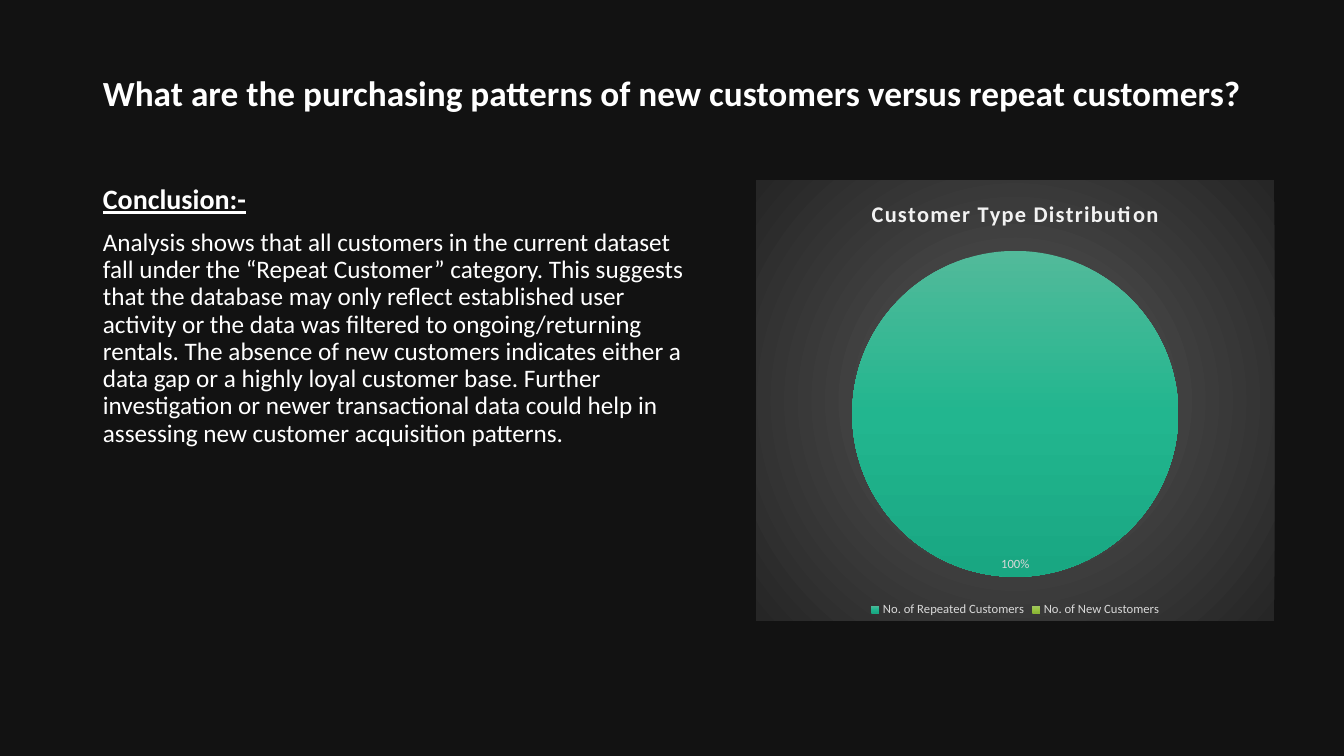
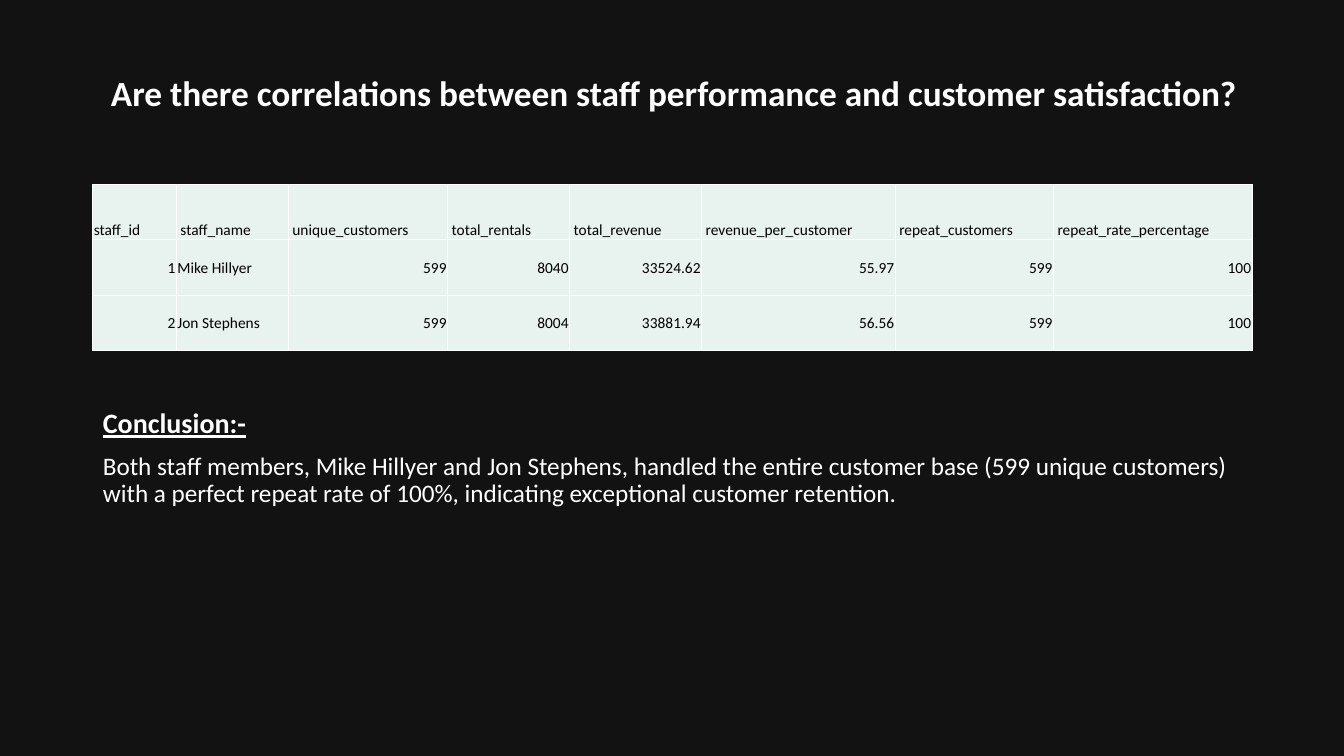
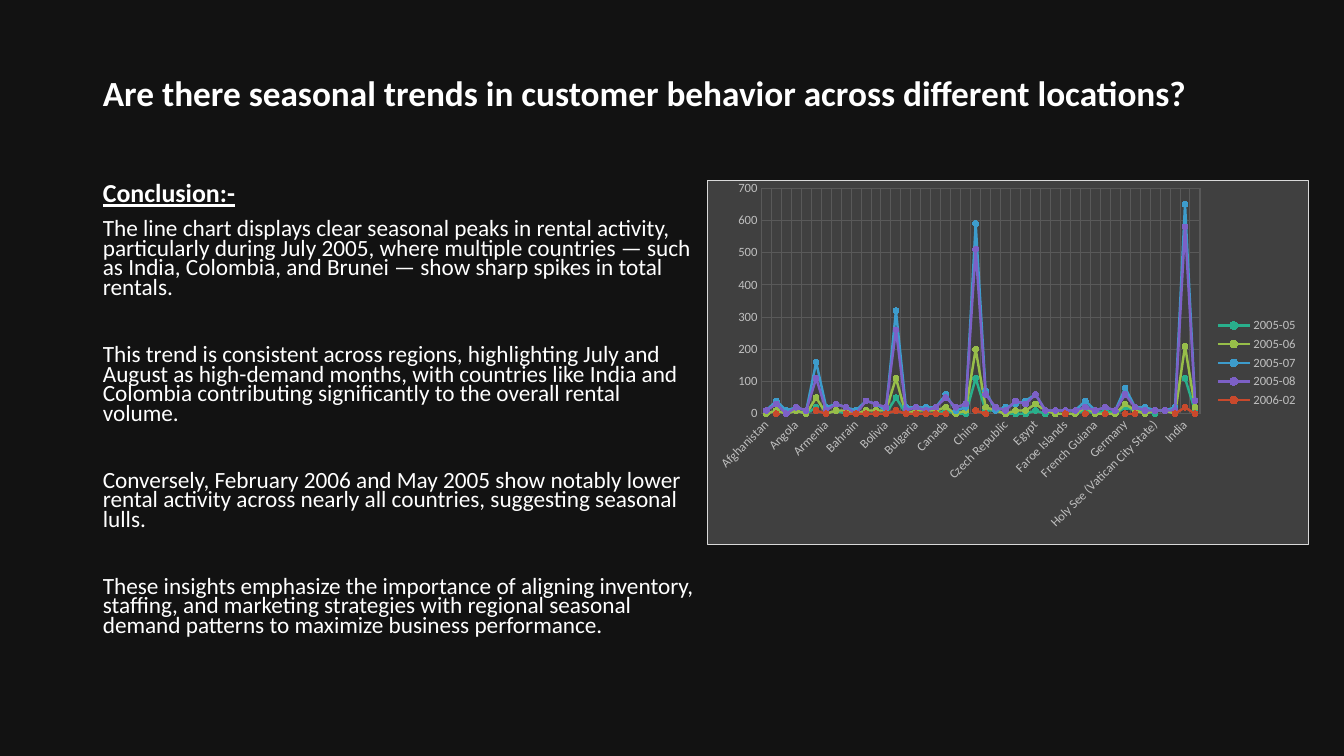
from dataclasses import dataclass

from pptx import Presentation
from pptx.chart.chart import Chart
from pptx.chart.data import CategoryChartData
from pptx.dml.color import RGBColor
from pptx.enum import chart as ch, text as tx
from pptx.oxml import parse_xml
from pptx.oxml.ns import nsdecls
from pptx.util import Inches, Pt


@dataclass(frozen=True)
class Theme:
    font: str = "Calibri"
    background: str = "121212"
    text: str = "FFFFFF"
    cell_fill: str = "E8F2EE"
    cell_text: str = "000000"
    chart_fill: str = "404040"
    chart_border: str = "D9D9D9"
    chart_title: str = "F2F2F2"
    pie_label: str = "D9D9D9"
    axis_label: str = "BFBFBF"
    grid: str = "595959"
    title_size: float = 25.2
    heading_size: float = 20
    body_size: float = 18
    small_heading_size: float = 18.5
    small_body_size: float = 16.6
    cell_size: float = 11
    chart_title_size: float = 16
    chart_size: float = 10
    label_size: float = 9


@dataclass(frozen=True)
class Box:
    left: float
    top: float
    width: float
    height: float

    def emu(self) -> tuple:
        return tuple(Inches(v) for v in (self.left, self.top, self.width, self.height))


@dataclass(frozen=True)
class MonthLine:
    name: str
    color: str
    marker: str
    values: list


T = Theme()
LEFT, FULL_WIDTH, CONTENT_TOP = 0.92, 11.5, 1.79
TITLE_BOX = Box(LEFT, 0.56, FULL_WIDTH, 0.76)
HALF_WIDTH = 6.09
INSET = 0.1

PIE_POINTS = [
    [(0, "52BA9A"), (50, "22B68F"), (100, "19A782")],
    [(0, "A2C664"), (50, "99C443"), (100, "8AB535")],
]
PIE_BACKGROUND = [(0, "595959"), (100, "262626")]

STAFF_COLUMNS = [
    ("staff_id", 0.83), ("staff_name", 1.11), ("unique_customers", 1.58),
    ("total_rentals", 1.21), ("total_revenue", 1.31), ("revenue_per_customer", 1.92),
    ("repeat_customers", 1.57), ("repeat_rate_percentage", 1.97),
]
STAFF_ROWS = [
    ["1", "Mike Hillyer", "599", "8040", "33524.62", "55.97", "599", "100"],
    ["2", "Jon Stephens", "599", "8004", "33881.94", "56.56", "599", "100"],
]
NAME_COLUMN = 1
ROW_HEIGHT = 0.55

COUNTRIES = [
    "Afghanistan", "Algeria", "American Samoa", "Angola", "Anguilla", "Argentina", "Armenia",
    "Austria", "Azerbaijan", "Bahrain", "Bangladesh", "Belarus", "Bolivia", "Brazil", "Brunei",
    "Bulgaria", "Cambodia", "Cameroon", "Canada", "Chad", "Chile", "China", "Colombia",
    "Congo, The Democratic Republic of the", "Czech Republic", "Dominican Republic", "Ecuador",
    "Egypt", "Estonia", "Ethiopia", "Faroe Islands", "Finland", "France", "French Guiana",
    "French Polynesia", "Gambia", "Germany", "Greece", "Greenland",
    "Holy See (Vatican City State)", "Hong Kong", "Hungary", "India", "Indonesia",
]
NA = None
MONTHS = [
    MonthLine("2005-05", "29AF8C", "70DEC1", [
        NA, 10, NA, 10, 0, 20, NA, 10, 0, 0, 0, 0, 0, 50, 0, 0, 0, 0, 10, 0, 0, 110,
        10, 10, 0, 0, 0, 10, 0, NA, 0, 0, 10, 0, 10, 0, 20, 10, 10, 0, NA, NA, 110, 10]),
    MonthLine("2005-06", "97BE49", "C1D892", [
        0, 10, 0, 10, 0, 50, 0, 10, 10, 0, 10, 10, 10, 110, 0, 10, 10, 10, 20, 0, 10, 200,
        20, 10, 0, 10, 10, 30, 10, 0, 0, 0, 20, 0, 0, 0, 30, 10, 0, 10, 10, 0, 210, 20]),
    MonthLine("2005-07", "3D9CCC", "8BC4E0", [
        10, 40, 10, 20, 10, 160, 20, 30, 20, 10, 40, 30, 10, 320, 20, 20, 20, 20, 60, 10, 20, 590,
        70, 10, 20, 30, 40, 60, 10, 10, 10, 10, 40, 10, 20, 10, 80, 20, 20, 10, 10, 20, 650, 40]),
    MonthLine("2005-08", "7C60C6", "B0A0DD", [
        10, 30, 0, 20, 10, 110, 10, 30, 20, 0, 40, 30, 20, 260, 10, 20, 10, 20, 50, 20, 30, 510,
        60, 20, 10, 40, 30, 60, 10, 10, 10, 10, 20, 10, 20, 10, 60, 20, 10, 10, 10, 10, 580, 40]),
    MonthLine("2006-02", "C9492C", "E28F7D", [
        NA, 0, NA, NA, NA, 10, 0, NA, 0, 0, 0, 0, 0, 10, 0, 0, 0, 0, 0, NA, NA, 10,
        0, NA, NA, NA, NA, NA, NA, NA, 0, NA, 0, NA, 0, NA, 0, 0, NA, NA, NA, 0, 20, 0]),
]


def rgb(color: str) -> RGBColor:
    return RGBColor.from_string(color)


def set_font(font, size: float, color: str, bold: bool = False) -> None:
    font.name, font.size, font.bold = T.font, Pt(size), bold
    font.color.rgb = rgb(color)


def write(p, text: str, size: float, color: str = T.text, bold: bool = False,
          underline: bool = False, align=tx.PP_ALIGN.LEFT, line: float = 1.0,
          before: float = 0):
    """Fill a paragraph with one formatted run and return the run."""
    p.alignment, p.line_spacing, p.space_before = align, line, Pt(before)
    r = p.add_run()
    r.text = text
    set_font(r.font, size, color, bold)
    r.font.underline = underline
    return r


def solid_xml(color: str) -> str:
    return f'<a:solidFill {nsdecls("a")}><a:srgbClr val="{color}"/></a:solidFill>'


def gradient_xml(stops: list, direction: str) -> str:
    gs = "".join(f'<a:gs pos="{pos * 1000}"><a:srgbClr val="{c}"/></a:gs>' for pos, c in stops)
    return f'<a:gradFill {nsdecls("a")}><a:gsLst>{gs}</a:gsLst>{direction}</a:gradFill>'


def style_chart_area(chart: Chart, fill: str, line: str) -> None:
    sp_pr = parse_xml(f'<c:spPr {nsdecls("c", "a")}>{fill}{line}</c:spPr>')
    chart.element.xpath("c:txPr")[0].addprevious(sp_pr)


def set_plot_layout(chart: Chart, x: float, y: float, w: float, h: float) -> None:
    """Fix the inner plot area, as fractions of the chart."""
    area = chart.element.xpath("c:chart/c:plotArea")[0]
    for old in area.xpath("c:layout"):
        area.remove(old)
    sizes = "".join(f'<c:{k} val="{v}"/>' for k, v in zip("xywh", (x, y, w, h)))
    area.insert(0, parse_xml(
        f'<c:layout {nsdecls("c")}><c:manualLayout><c:layoutTarget val="inner"/>'
        f'<c:xMode val="edge"/><c:yMode val="edge"/>{sizes}</c:manualLayout></c:layout>'))


def add_chart(s, kind, box: Box, data: CategoryChartData, legend, label_color: str) -> Chart:
    chart = s.shapes.add_chart(kind, *box.emu(), data).chart
    set_font(chart.font, T.chart_size, T.text)
    chart.has_title = False
    chart.has_legend = True
    chart.legend.position = legend
    chart.legend.include_in_layout = False
    set_font(chart.legend.font, T.label_size, label_color)
    return chart


def set_up_layout(prs):
    """Give the title-and-content layout the shared background and title box."""
    layout = prs.slide_layouts[1]
    fill = prs.slide_master.background.fill
    fill.solid()
    fill.fore_color.rgb = rgb(T.background)
    title, body = layout.placeholders[0], layout.placeholders[1]
    title.left, title.top, title.width, title.height = TITLE_BOX.emu()
    title.text_frame.vertical_anchor = tx.MSO_ANCHOR.MIDDLE
    for sp in (title, body):
        sp.text_frame.auto_size = tx.MSO_AUTO_SIZE.NONE
    return layout


def add_slide(prs, layout, title: str, box: Box, paragraphs: list,
              heading_size: float = T.heading_size, body_size: float = T.body_size,
              line: float = 0.9, gap: float = 10, title_indent: float = 0):
    """Add a slide with its title and a conclusion; gap parts the paragraphs."""
    s = prs.slides.add_slide(layout)
    tf = s.shapes.title.text_frame
    tf.margin_left = Inches(INSET + title_indent)
    write(tf.paragraphs[0], title, T.title_size, bold=True, line=0.9)

    body = s.placeholders[1]
    body.left, body.top, body.width, body.height = box.emu()
    tf = body.text_frame
    for i, text in enumerate(["Conclusion:-", *paragraphs]):
        p = tf.add_paragraph() if i else tf.paragraphs[0]
        p_pr = p._p.get_or_add_pPr()
        p_pr.set("marL", "0")
        p_pr.set("indent", "0")
        p_pr.append(parse_xml(f'<a:buNone {nsdecls("a")}/>'))
        heading = i == 0
        write(p, text, heading_size if heading else body_size, bold=heading,
              underline=heading, line=line, before=(0, 10)[i] if i < 2 else gap)
    return s


def add_customer_pie(s) -> None:
    data = CategoryChartData()
    data.categories = ["No. of Repeated Customers", "No. of New Customers"]
    data.add_series("Series 1", [100, 0])
    chart = add_chart(s, ch.XL_CHART_TYPE.PIE, Box(7.5, CONTENT_TOP, 5.14, 4.37), data,
                      ch.XL_LEGEND_POSITION.BOTTOM, T.pie_label)
    chart.has_title = True
    r = write(chart.chart_title.text_frame.paragraphs[0], "Customer Type Distribution",
              T.chart_title_size, T.chart_title, bold=True, align=tx.PP_ALIGN.CENTER)
    r._r.get_or_add_rPr().set("spc", "100")
    chart.chart_title.include_in_layout = False

    plot = chart.plots[0]
    plot.vary_by_categories = True
    for i, stops in enumerate(PIE_POINTS):
        plot.series[0].points[i].format.line.fill.background()
        sp_pr = chart.element.xpath("//c:dPt/c:spPr")[i]
        sp_pr.insert(0, parse_xml(gradient_xml(stops, '<a:lin ang="5400000" scaled="0"/>')))
    labels = plot.series[0].data_labels
    labels.show_percentage, labels.show_value = True, False
    labels.number_format, labels.number_format_is_linked = "0%", False
    labels.position = ch.XL_LABEL_POSITION.BEST_FIT
    set_font(labels.font, T.label_size, T.pie_label)

    center = '<a:path path="circle"><a:fillToRect l="50000" t="50000" r="50000" b="50000"/></a:path>'
    style_chart_area(chart, gradient_xml(PIE_BACKGROUND, center), "<a:ln><a:noFill/></a:ln>")
    set_plot_layout(chart, 0.18, 0.16, 0.64, 0.74)


def add_staff_table(s) -> None:
    rows = [[name for name, _ in STAFF_COLUMNS], *STAFF_ROWS]
    box = Box(LEFT, 1.83, FULL_WIDTH, ROW_HEIGHT * len(rows))
    table = s.shapes.add_table(len(rows), len(STAFF_COLUMNS), *box.emu()).table
    table.first_row = table.horz_banding = False
    for column, (_, width) in zip(table.columns, STAFF_COLUMNS):
        column.width = Inches(width)
    for i, values in enumerate(rows):
        table.rows[i].height = Inches(ROW_HEIGHT)
        for j, value in enumerate(values):
            style_cell(table.cell(i, j), value, header=i == 0, column=j)


def style_cell(cell, value: str, header: bool, column: int) -> None:
    tc_pr = cell._tc.get_or_add_tcPr()
    for side in "LRTB":
        tc_pr.append(parse_xml(
            f'<a:ln{side} {nsdecls("a")} w="12700">{solid_xml(T.text)}</a:ln{side}>'))
    cell.fill.solid()
    cell.fill.fore_color.rgb = rgb(T.cell_fill)
    cell.margin_left = Inches(0.04 if header and column else 0.01)
    cell.margin_top = cell.margin_right = Inches(0.01)
    cell.margin_bottom = 0
    cell.vertical_anchor = tx.MSO_ANCHOR.BOTTOM if header else tx.MSO_ANCHOR.MIDDLE
    left = header or column == NAME_COLUMN
    write(cell.text_frame.paragraphs[0], value, T.cell_size, T.cell_text,
          align=tx.PP_ALIGN.LEFT if left else tx.PP_ALIGN.RIGHT)


def add_season_chart(s) -> None:
    data = CategoryChartData()
    data.categories = COUNTRIES
    for month in MONTHS:
        data.add_series(month.name, month.values)
    chart = add_chart(s, ch.XL_CHART_TYPE.LINE_MARKERS, Box(7.01, CONTENT_TOP, 5.97, 3.62),
                      data, ch.XL_LEGEND_POSITION.RIGHT, T.axis_label)
    chart.plots[0].vary_by_categories = False
    for series, month in zip(chart.plots[0].series, MONTHS):
        series.smooth = False
        series.format.line.color.rgb = rgb(month.color)
        series.format.line.width = Pt(1.75)
        marker = series.marker
        marker.style, marker.size = ch.XL_MARKER_STYLE.CIRCLE, 4
        marker.format.fill.solid()
        marker.format.fill.fore_color.rgb = rgb(month.marker)
        marker.format.line.fill.background()

    for axis in (chart.category_axis, chart.value_axis):
        axis.major_tick_mark = axis.minor_tick_mark = ch.XL_TICK_MARK.NONE
        axis.format.line.fill.background()
        axis.has_major_gridlines = True
        axis.major_gridlines.format.line.color.rgb = rgb(T.grid)
        axis.major_gridlines.format.line.width = Pt(0.75)
        set_font(axis.tick_labels.font, T.label_size, T.axis_label)
    chart.value_axis.minimum_scale, chart.value_axis.maximum_scale = 0, 700
    chart.value_axis.major_unit = 100
    chart.element.xpath("//c:catAx/c:txPr/a:bodyPr")[0].set("rot", "-2700000")

    style_chart_area(chart, solid_xml(T.chart_fill),
                     f'<a:ln w="9525">{solid_xml(T.chart_border)}</a:ln>')
    set_plot_layout(chart, 0.09, 0.02, 0.73, 0.62)


def main() -> None:
    prs = Presentation()
    prs.slide_width, prs.slide_height = Inches(13.33), Inches(7.5)
    layout = set_up_layout(prs)

    s = add_slide(
        prs, layout, "What are the purchasing patterns of new customers versus repeat customers?",
        Box(LEFT, CONTENT_TOP, HALF_WIDTH, 4.89),
        ["Analysis shows that all customers in the current dataset fall under the “Repeat "
         "Customer” category. This suggests that the database may only reflect established user "
         "activity or the data was filtered to ongoing/returning rentals. The absence of new "
         "customers indicates either a data gap or a highly loyal customer base. Further "
         "investigation or newer transactional data could help in assessing new customer "
         "acquisition patterns."])
    add_customer_pie(s)

    s = add_slide(
        prs, layout, "Are there correlations between staff performance and customer satisfaction?",
        Box(LEFT, 4.01, FULL_WIDTH, 2.8),
        ["Both staff members, Mike Hillyer and Jon Stephens, handled the entire customer base "
         "(599 unique customers) with a perfect repeat rate of 100%, indicating exceptional "
         "customer retention."],
        title_indent=0.08)
    add_staff_table(s)

    s = add_slide(
        prs, layout, "Are there seasonal trends in customer behavior across different locations?",
        Box(LEFT, CONTENT_TOP, HALF_WIDTH, 5.15),
        ["The line chart displays clear seasonal peaks in rental activity, particularly during "
         "July 2005, where multiple countries — such as India, Colombia, and Brunei — show sharp "
         "spikes in total rentals.",
         "This trend is consistent across regions, highlighting July and August as high-demand "
         "months, with countries like India and Colombia contributing significantly to the "
         "overall rental volume.",
         "Conversely, February 2006 and May 2005 show notably lower rental activity across "
         "nearly all countries, suggesting seasonal lulls.",
         "These insights emphasize the importance of aligning inventory, staffing, and marketing "
         "strategies with regional seasonal demand patterns to maximize business performance."],
        heading_size=T.small_heading_size, body_size=T.small_body_size, line=0.7, gap=34)
    add_season_chart(s)

    prs.save("out.pptx")


if __name__ == "__main__":
    main()
